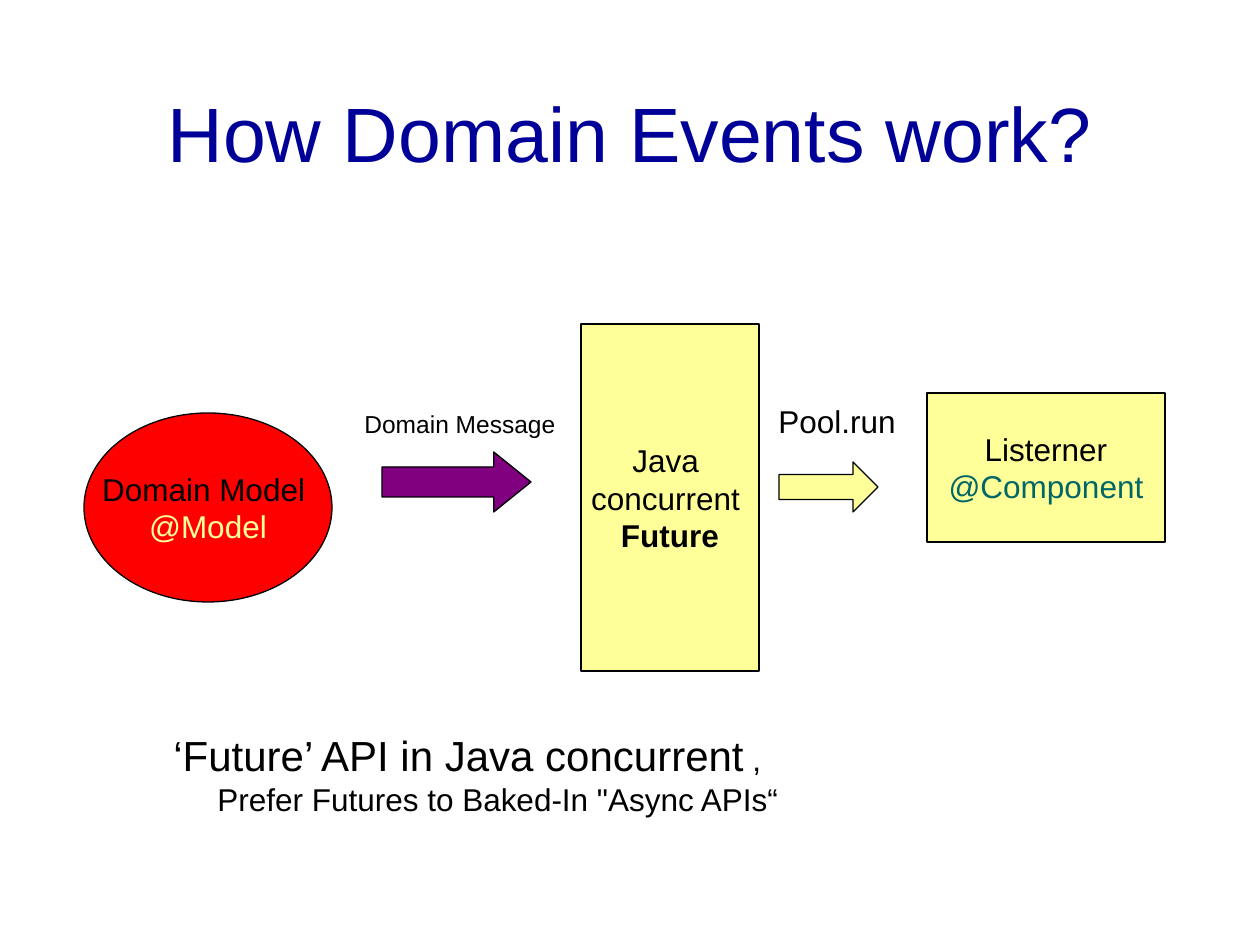
from pptx import Presentation
from pptx.dml.color import RGBColor
from pptx.enum.shapes import MSO_SHAPE
from pptx.enum.text import MSO_ANCHOR, MSO_AUTO_SIZE, PP_ALIGN
from pptx.util import Inches, Pt

PX = Inches(1) / 126
FONT = "Arial"
ELLIPSE, RECTANGLE, ARROW = MSO_SHAPE.OVAL, MSO_SHAPE.RECTANGLE, MSO_SHAPE.RIGHT_ARROW
CENTER, LEFT = PP_ALIGN.CENTER, PP_ALIGN.LEFT
MIDDLE, TOP = MSO_ANCHOR.MIDDLE, MSO_ANCHOR.TOP
FIXED = MSO_AUTO_SIZE.NONE

NAVY = RGBColor(0x00, 0x00, 0x99)
BLACK = RGBColor(0x00, 0x00, 0x00)
RED = RGBColor(0xFF, 0x00, 0x00)
YELLOW = RGBColor(0xFF, 0xFF, 0x99)
TEAL = RGBColor(0x00, 0x66, 0x66)
PURPLE = RGBColor(0x80, 0x00, 0x80)


def px(*lengths):
    return [round(length * PX) for length in lengths]


def add_span(para, text, size=18, color=BLACK, bold=False):
    span = para.add_run()
    span.text = text
    span.font.name = FONT
    span.font.size = Pt(size)
    span.font.bold = bold
    span.font.color.rgb = color


def write(frame, lines, align, anchor, wrap=True):
    frame.word_wrap = wrap
    frame.auto_size = FIXED
    frame.vertical_anchor = anchor
    for index, spans in enumerate(lines):
        para = frame.add_paragraph() if index else frame.paragraphs[0]
        para.alignment = align
        for span in spans:
            add_span(para, *span)


def set_title(page, text):
    title = page.shapes.title
    title.left, title.top, title.width, title.height = px(42, 53, 1176, 157)
    write(title.text_frame, [[(text, 44, NAVY)]], CENTER, MIDDLE)


def add_figure(page, kind, place, fill):
    figure = page.shapes.add_shape(kind, *px(*place))
    figure.shadow.inherit = False
    figure.fill.solid()
    figure.fill.fore_color.rgb = fill
    figure.line.color.rgb = BLACK
    figure.line.width = Pt(0.75)
    return figure


def add_node(page, kind, place, fill, lines):
    node = add_figure(page, kind, place, fill)
    write(node.text_frame, lines, CENTER, MIDDLE, wrap=False)


def add_arrow(page, place, fill, head):
    arrow = add_figure(page, ARROW, place, fill)
    arrow.adjustments[0] = 0.5
    arrow.adjustments[1] = head


def add_text(page, place, lines, indent=0):
    box = page.shapes.add_textbox(*px(*place))
    write(box.text_frame, lines, LEFT, TOP)
    for para in box.text_frame.paragraphs[1:]:
        para._p.get_or_add_pPr().set("marL", str(px(indent)[0]))


def main():
    deck = Presentation()
    deck.slide_width, deck.slide_height = px(1260, 945)
    page = deck.slides.add_slide(deck.slide_layouts[5])
    set_title(page, "How Domain Events work?")

    add_node(page, ELLIPSE, (84, 413, 248, 189), RED,
             [[("Domain Model ",)], [("@Model", 18, YELLOW)]])
    add_node(page, RECTANGLE, (927, 393, 238, 149), YELLOW,
             [[("Listerner",)], [("@Component", 18, TEAL)]])
    add_node(page, RECTANGLE, (581, 324, 178, 347), YELLOW,
             [[("Java ",)], [("concurrent ",)], [("Future", 18, BLACK, True)]])

    add_arrow(page, (382, 452, 149, 60), PURPLE, 0.62)
    add_arrow(page, (779, 462, 99, 50), YELLOW, 0.5)
    add_text(page, (352, 403, 224, 43), [[("Domain Message", 14)]])
    add_text(page, (766, 396, 152, 50), [[("Pool.run",)]])

    add_text(page, (161, 723, 640, 139),
             [[("‘Future’ API in Java concurrent", 24), (" ,",)],
              [("Prefer Futures to Baked-In \"Async APIs“",)]], indent=44)
    deck.save("out.pptx")


if __name__ == "__main__":
    main()
